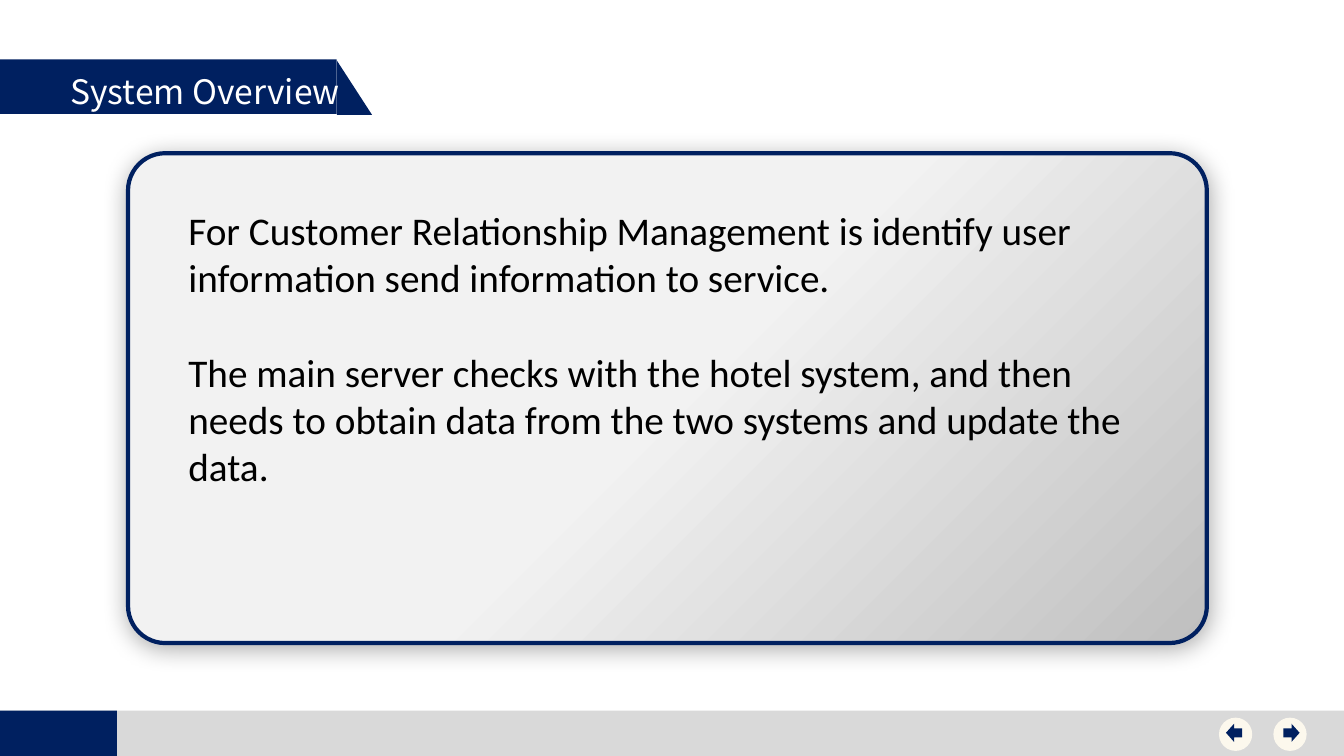
from dataclasses import dataclass

from lxml.etree import SubElement
from pptx import Presentation
from pptx.dml.color import RGBColor
from pptx.enum.shapes import MSO_SHAPE
from pptx.enum.text import MSO_AUTO_SIZE
from pptx.oxml.ns import qn
from pptx.shapes.autoshape import Shape
from pptx.slide import Slide
from pptx.util import Inches, Pt

NAVY = RGBColor(0x00, 0x20, 0x60)
GREY = RGBColor(0xD9, 0xD9, 0xD9)
CREAM = RGBColor(0xFC, 0xF8, 0xED)
WHITE = RGBColor(0xFF, 0xFF, 0xFF)
BLACK = RGBColor(0x00, 0x00, 0x00)
PANEL_LIGHT = RGBColor(0xF2, 0xF2, 0xF2)
PANEL_DARK = RGBColor(0xBF, 0xBF, 0xBF)


@dataclass(frozen=True)
class Block:
    kind: MSO_SHAPE
    left: float
    top: float
    width: float
    height: float
    color: RGBColor


@dataclass(frozen=True)
class Label:
    left: float
    top: float
    width: float
    height: float
    paragraphs: tuple[str, ...]
    font: str
    size: float
    color: RGBColor
    gap: float = 0


FOOTER = (
    Block(MSO_SHAPE.RECTANGLE, 0, 7.05, 13.33, 0.46, GREY),
    Block(MSO_SHAPE.RECTANGLE, 0, 7.05, 1.16, 0.46, NAVY),
)
BANNER = (
    Block(MSO_SHAPE.RECTANGLE, 0, 0.59, 3.34, 0.54, NAVY),
    Block(MSO_SHAPE.RIGHT_TRIANGLE, 3.34, 0.6, 0.35, 0.54, NAVY),
)
NAVIGATION = (
    Block(MSO_SHAPE.OVAL, 12.63, 7.12, 0.33, 0.33, CREAM),
    Block(MSO_SHAPE.RIGHT_ARROW, 12.73, 7.18, 0.16, 0.18, NAVY),
    Block(MSO_SHAPE.OVAL, 12.09, 7.12, 0.33, 0.33, CREAM),
    Block(MSO_SHAPE.LEFT_ARROW, 12.16, 7.18, 0.16, 0.18, NAVY),
)
PANEL = Block(MSO_SHAPE.ROUNDED_RECTANGLE, 1.27, 1.52, 10.7, 4.86, PANEL_LIGHT)
TITLE = Label(0.6, 0.65, 3.08, 0.5, ("System Overview",), "Noto Sans CJK SC", 24, WHITE)
OVERVIEW = Label(
    1.77, 2, 9.75, 2.93,
    (
        "For Customer Relationship Management is identify user information "
        "send information to service.",
        "The main server checks with the hotel system, and then needs to obtain "
        "data from the two systems and update the data.",
    ),
    "Calibri", 28, BLACK, gap=34,
)


def add_block(page: Slide, block: Block) -> Shape:
    shape = page.shapes.add_shape(
        block.kind, Inches(block.left), Inches(block.top),
        Inches(block.width), Inches(block.height),
    )
    shape.shadow.inherit = False
    shape.fill.solid()
    shape.fill.fore_color.rgb = block.color
    shape.line.fill.background()
    return shape


def add_soft_shadow(shape: Shape) -> None:
    effects = shape.element.spPr.find(qn("a:effectLst"))
    shadow = SubElement(
        effects, qn("a:outerShdw"), blurRad=str(Pt(17.8)), dist=str(Pt(3)),
        dir=str(87 * 60000), algn="t", rotWithShape="0",
    )
    color = SubElement(shadow, qn("a:srgbClr"), val=str(BLACK))
    SubElement(color, qn("a:alpha"), val="33000")


def add_panel(page: Slide) -> None:
    panel = add_block(page, PANEL)
    panel.adjustments[0] = 0.076
    panel.fill.gradient()
    panel.fill.gradient_angle = 315
    stops = ((0.5, PANEL_LIGHT), (1, PANEL_DARK))
    for stop, (position, color) in zip(panel.fill.gradient_stops, stops):
        stop.position = position
        stop.color.rgb = color
    panel.line.color.rgb = NAVY
    panel.line.width = Pt(3)
    add_soft_shadow(panel)


def add_label(page: Slide, label: Label) -> None:
    box = page.shapes.add_textbox(
        Inches(label.left), Inches(label.top),
        Inches(label.width), Inches(label.height),
    )
    frame = box.text_frame
    frame.word_wrap = True
    frame.auto_size = MSO_AUTO_SIZE.SHAPE_TO_FIT_TEXT
    frame.text = "\n".join(label.paragraphs)
    for index, paragraph in enumerate(frame.paragraphs):
        paragraph.font.name = label.font
        paragraph.font.size = Pt(label.size)
        paragraph.font.color.rgb = label.color
        if index:
            paragraph.space_before = Pt(label.gap)


def main() -> None:
    deck = Presentation()
    deck.slide_width = Inches(13.33)
    deck.slide_height = Inches(7.5)
    page = deck.slides.add_slide(deck.slide_layouts[6])
    for block in FOOTER + BANNER:
        add_block(page, block)
    add_label(page, TITLE)
    for block in NAVIGATION:
        add_block(page, block)
    add_panel(page)
    add_label(page, OVERVIEW)
    deck.save("out.pptx")


if __name__ == "__main__":
    main()
